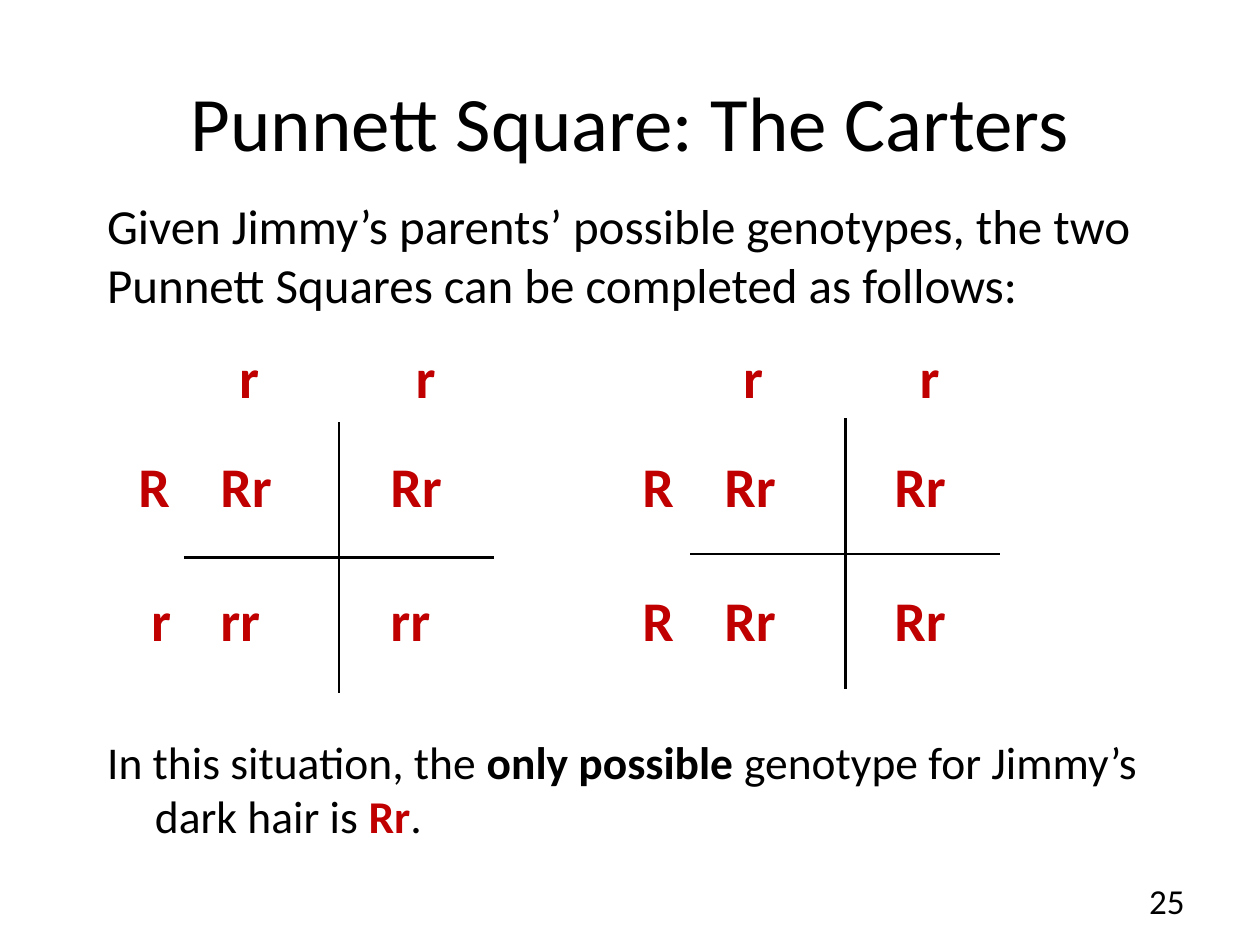
from dataclasses import dataclass

from lxml.etree import SubElement
from pptx import Presentation
from pptx.dml.color import RGBColor
from pptx.enum.text import MSO_ANCHOR as Anchor, MSO_AUTO_SIZE as AutoSize, PP_ALIGN as Align
from pptx.oxml.ns import qn
from pptx.util import Inches, Pt

BLACK = "000000"
RED = "C00000"
HEADER_STOPS = (0.8, 2.2)
ROW_STOPS = (0.1, 0.65, 2)


@dataclass(frozen=True)
class PunnettSquare:
    text_left: float
    grid_left: float
    grid_top: float
    rows: tuple[str, str]


SQUARES = (
    PunnettSquare(1, 1.46, 3.35, ("R\tRr\tRr", "\tr\trr\trr")),
    PunnettSquare(5, 5.48, 3.32, ("R\tRr\tRr", "R\tRr\tRr")),
)


def color(value: str) -> RGBColor:
    return RGBColor.from_string(value)


def add_text(paragraph, text: str, *, size: float, fill: str = BLACK, bold: bool = False) -> None:
    run = paragraph.add_run()
    run.text = text
    run.font.name = "Calibri"
    run.font.size = Pt(size)
    run.font.bold = bold
    run.font.color.rgb = color(fill)


def place(shape, left: float, top: float, width: float, height: float) -> None:
    shape.left, shape.top = Inches(left), Inches(top)
    shape.width, shape.height = Inches(width), Inches(height)


def add_box(slide, left: float, top: float, width: float, height: float):
    shape = slide.shapes.add_textbox(Inches(left), Inches(top), Inches(width), Inches(height))
    shape.text_frame.word_wrap = True
    return shape.text_frame


def remove_bullet(paragraph, hanging: float = 0) -> None:
    properties = paragraph._p.get_or_add_pPr()
    properties.set("marL", str(Inches(hanging)))
    properties.set("indent", str(-Inches(hanging)))
    SubElement(properties, qn("a:buNone"))


def set_tab_stops(paragraph, stops: tuple[float, ...]) -> None:
    tabs = SubElement(paragraph._p.get_or_add_pPr(), qn("a:tabLst"))
    for stop in stops:
        SubElement(tabs, qn("a:tab"), pos=str(Inches(stop)), algn="l")


def set_borders(cell, visible: str) -> None:
    properties = cell._tc.get_or_add_tcPr()
    for side in "LRTB":
        line = SubElement(properties, qn(f"a:ln{side}"), w=str(Pt(1.5)))
        if side in visible:
            fill = SubElement(line, qn("a:solidFill"))
            SubElement(fill, qn("a:srgbClr"), val=BLACK)
        else:
            SubElement(line, qn("a:noFill"))


def add_genotypes(slide, square: PunnettSquare) -> None:
    frame = add_box(slide, square.text_left, 2.67, 3.42, 2.99)
    lines = (
        ("\tr\tr", HEADER_STOPS, 0),
        (square.rows[0], ROW_STOPS, 24),
        (square.rows[1], ROW_STOPS, 38),
    )
    for index, (text, stops, gap) in enumerate(lines):
        paragraph = frame.add_paragraph() if index else frame.paragraphs[0]
        paragraph.space_before = Pt(gap)
        set_tab_stops(paragraph, stops)
        add_text(paragraph, text, size=32, fill=RED, bold=True)


def add_grid(slide, square: PunnettSquare) -> None:
    table = slide.shapes.add_table(
        2, 2, Inches(square.grid_left), Inches(square.grid_top), Inches(2.46), Inches(2.15)
    ).table
    table.first_row = False
    table.horz_banding = False
    for row in range(2):
        for column in range(2):
            cell = table.cell(row, column)
            set_borders(cell, "RL"[column] + "BT"[row])
            cell.fill.background()


def add_title(slide) -> None:
    title = slide.shapes.title
    place(title, 0.75, 0.33, 8.5, 1.25)
    frame = title.text_frame
    frame.auto_size = AutoSize.NONE
    frame.vertical_anchor = Anchor.MIDDLE
    frame.paragraphs[0].alignment = Align.CENTER
    add_text(frame.paragraphs[0], "Punnett Square: The Carters", size=44)


def add_body(slide) -> None:
    body = slide.placeholders[1]
    place(body, 0.75, 1.5, 8.5, 5.67)
    frame = body.text_frame
    frame.auto_size = AutoSize.NONE
    introduction = frame.paragraphs[0]
    introduction.space_before = Pt(0)
    remove_bullet(introduction)
    add_text(
        introduction,
        "Given Jimmy’s parents’ possible genotypes, the two Punnett Squares can be completed as follows:",
        size=28,
    )
    conclusion = frame.add_paragraph()
    conclusion.space_before = Pt(240.5)
    remove_bullet(conclusion, hanging=0.38)
    add_text(conclusion, "In this situation, the ", size=26)
    add_text(conclusion, "only possible ", size=26, bold=True)
    add_text(conclusion, "genotype for Jimmy’s dark hair is ", size=26)
    add_text(conclusion, "Rr", size=26, fill=RED, bold=True)
    add_text(conclusion, ".", size=26)


def add_slide_number(slide) -> None:
    frame = add_box(slide, 7.17, 6.95, 2.33, 0.4)
    frame.vertical_anchor = Anchor.MIDDLE
    frame.paragraphs[0].alignment = Align.RIGHT
    add_text(frame.paragraphs[0], "25", size=20)


def main() -> None:
    presentation = Presentation()
    presentation.slide_width, presentation.slide_height = Inches(10), Inches(7.5)
    slide = presentation.slides.add_slide(presentation.slide_layouts[1])
    add_title(slide)
    add_body(slide)
    for square in SQUARES:
        add_genotypes(slide, square)
    add_slide_number(slide)
    for square in SQUARES:
        add_grid(slide, square)
    presentation.save("out.pptx")


if __name__ == "__main__":
    main()
